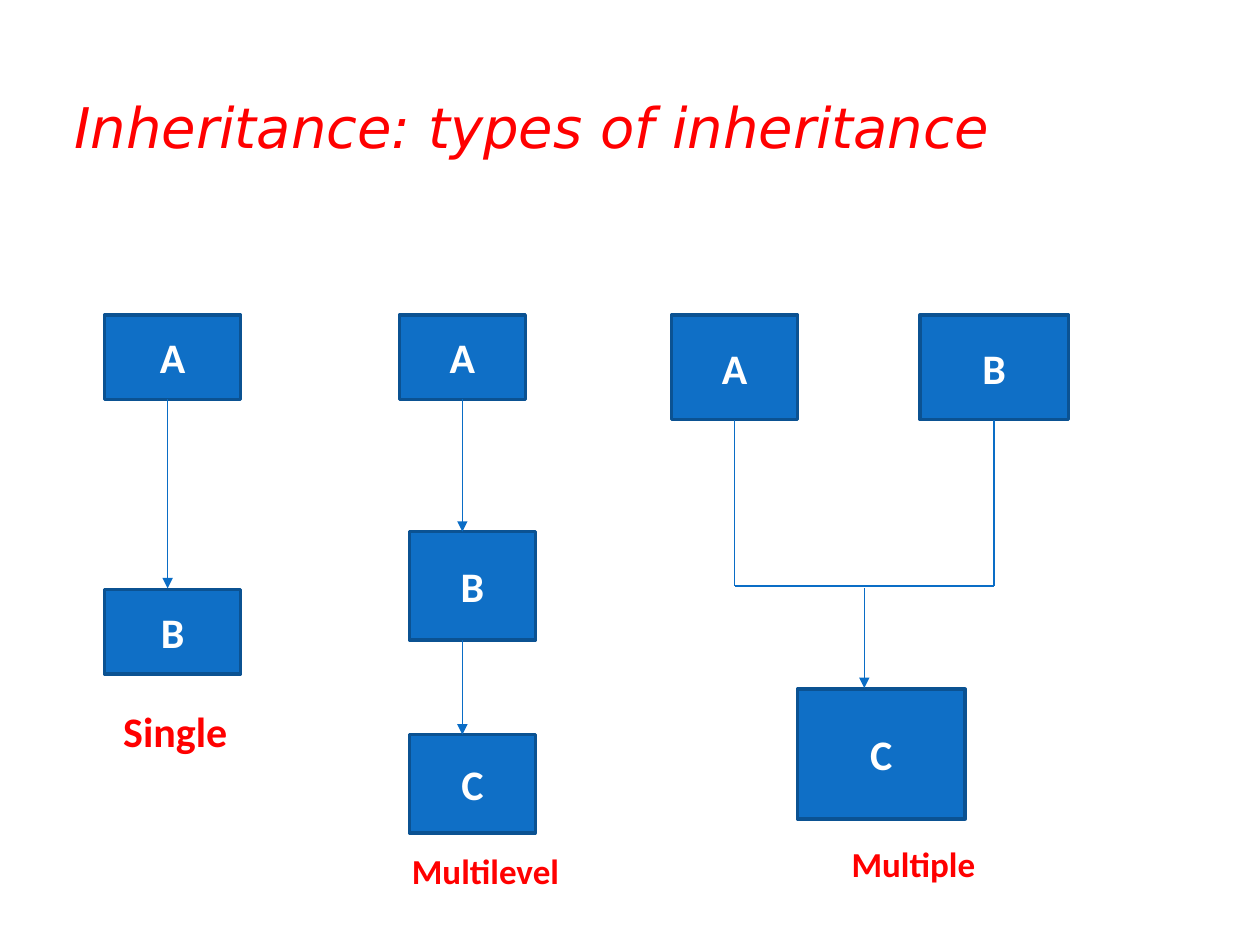
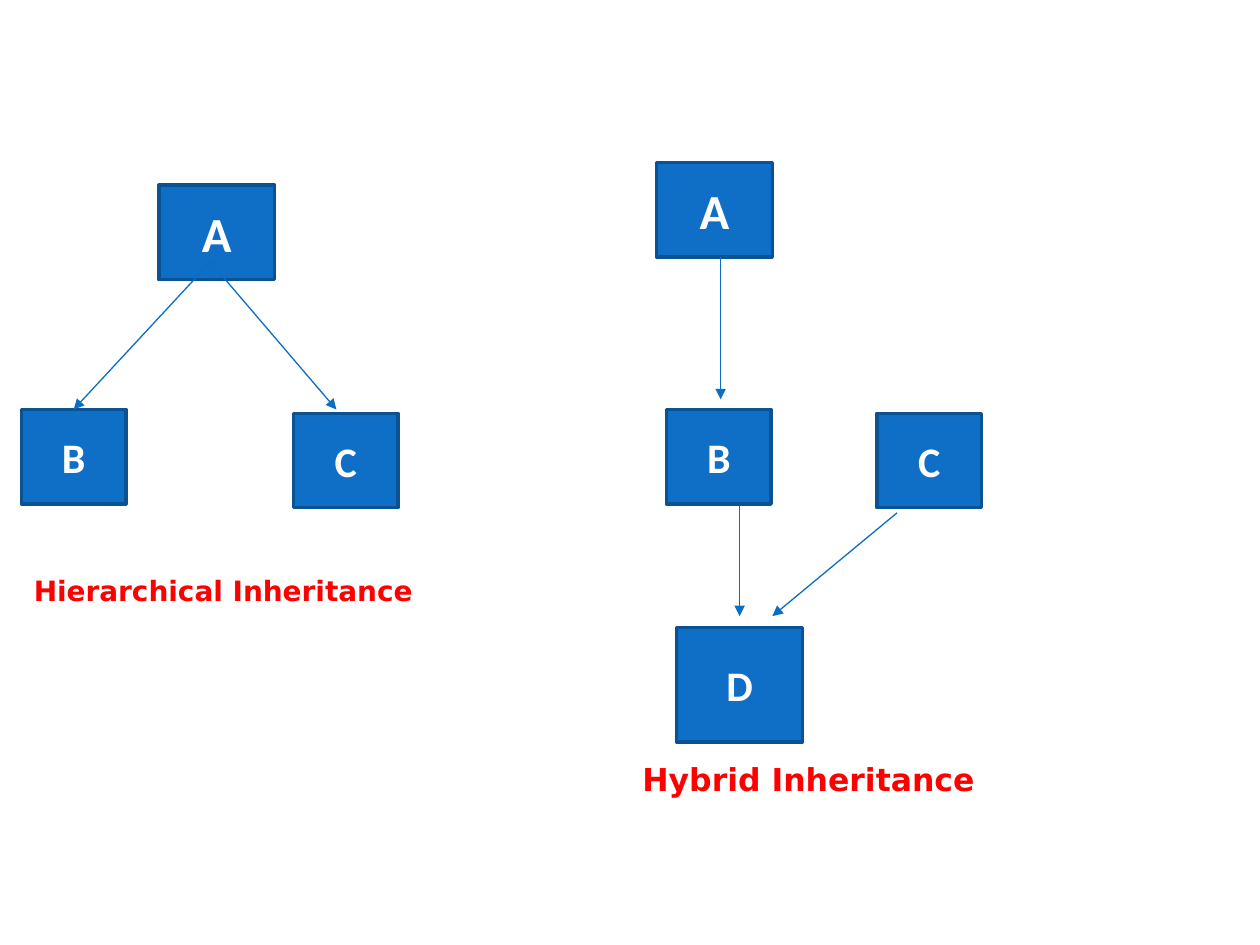
from dataclasses import dataclass

from lxml import etree
from pptx import Presentation
from pptx.dml.color import RGBColor
from pptx.enum.shapes import MSO_CONNECTOR, MSO_SHAPE
from pptx.enum.text import MSO_ANCHOR, MSO_AUTO_SIZE, PP_ALIGN
from pptx.oxml.ns import qn
from pptx.util import Inches, Pt

STRAIGHT = MSO_CONNECTOR.STRAIGHT
RECTANGLE = MSO_SHAPE.RECTANGLE
MIDDLE = MSO_ANCHOR.MIDDLE
GROW = MSO_AUTO_SIZE.SHAPE_TO_FIT_TEXT
LEFT, CENTER = PP_ALIGN.LEFT, PP_ALIGN.CENTER
TITLE_ONLY, BLANK = 5, 6
TOP_SIDE, BOTTOM_SIDE = 0, 2


@dataclass(frozen=True)
class Theme:
    accent: RGBColor = RGBColor(0xFF, 0x00, 0x00)
    box_fill: RGBColor = RGBColor(0x0F, 0x6F, 0xC6)
    box_line: RGBColor = RGBColor(0x0B, 0x52, 0x92)
    arrow: RGBColor = RGBColor(0x0A, 0x6D, 0xC6)
    box_text: RGBColor = RGBColor(0xFF, 0xFF, 0xFF)
    body_font: str = "Calibri"
    title_font: str = "DejaVu Sans"
    title_size: int = 32
    root_size: int = 28
    box_size: int = 24
    label_size: int = 20
    hybrid_size: int = 18
    hierarchical_size: int = 16
    box_line_width: float = 2
    arrow_width: float = 0.75


THEME = Theme()

# boxes: letter, (left, top, width, height), text size
# lines: start, end, has arrowhead
# label: text, (left, top, width, height), text size, font, wraps
""" """
SINGLE = {
    "boxes": [
        ("A", (0.83, 2.5, 1.08, 0.67), THEME.box_size),
        ("B", (0.83, 4.68, 1.08, 0.67), THEME.box_size),
    ],
    "lines": [((1.33, 3.17), (1.33, 4.67), True)],
    "label": ("Single", (0.88, 5.55, 1.04, 0.5), THEME.box_size, THEME.body_font, False),
}
MULTILEVEL = {
    "boxes": [
        ("A", (3.17, 2.5, 1, 0.67), THEME.box_size),
        ("B", (3.25, 4.22, 1, 0.86), THEME.box_size),
        ("C", (3.25, 5.83, 1, 0.78), THEME.box_size),
    ],
    "lines": [
        ((3.67, 3.17), (3.67, 4.22), True),
        ((3.67, 5.08), (3.67, 5.83), True),
    ],
    "label": ("Multilevel", (3.17, 6.69, 1.38, 0.44), THEME.label_size, THEME.body_font, False),
}
MULTIPLE = {
    "boxes": [
        ("A", (5.33, 2.5, 1, 0.83), THEME.box_size),
        ("B", (7.3, 2.5, 1.18, 0.83), THEME.box_size),
        ("C", (6.33, 5.47, 1.33, 1.03), THEME.box_size),
    ],
    "lines": [
        ((5.83, 3.33), (5.83, 4.65), False),
        ((7.89, 3.33), (7.89, 4.65), False),
        ((5.83, 4.65), (7.89, 4.65), False),
        ((6.86, 4.67), (6.86, 5.46), True),
    ],
    "label": ("Multiple", (6.66, 6.64, 1.19, 0.44), THEME.label_size, THEME.body_font, False),
}
HIERARCHICAL = {
    "boxes": [
        ("A", (1.26, 1.47, 0.92, 0.75), THEME.root_size),
        ("B", (0.17, 3.25, 0.83, 0.75), THEME.box_size),
        ("C", (2.33, 3.28, 0.83, 0.75), THEME.box_size),
    ],
    "lines": [
        ((1.67, 2.08), (0.58, 3.25), True),
        ((1.67, 2.08), (2.67, 3.25), True),
    ],
    "label": ("Hierarchical Inheritance", (0.17, 4.5, 3.5, 0.67),
              THEME.hierarchical_size, THEME.title_font, True),
}
HYBRID = {
    "boxes": [
        ("A", (5.21, 1.29, 0.92, 0.75), THEME.root_size),
        ("B", (5.29, 3.25, 0.83, 0.75), THEME.box_size),
        ("C", (6.96, 3.28, 0.83, 0.75), THEME.box_size),
        ("D", (5.37, 4.98, 1, 0.91), THEME.box_size),
    ],
    "lines": [
        ((5.72, 2.04), (5.72, 3.17), True),
        ((5.87, 4.01), (5.87, 4.89), True),
        ((7.12, 4.07), (6.13, 4.89), True),
    ],
    "label": ("Hybrid Inheritance", (5, 5.98, 3.82, 0.71),
              THEME.hybrid_size, THEME.title_font, True),
}
SLIDES = [
    ("Inheritance: types of inheritance", [SINGLE, MULTILEVEL, MULTIPLE]),
    (None, [HIERARCHICAL, HYBRID]),
]
TITLE_PLACE = (0.49, 0.5, 9, 1)
JOIN_TOLERANCE = Inches(0.02)


def write(frame, text, size, font_name, color, align=LEFT, bold=True, italic=False):
    frame.text = text
    para = frame.paragraphs[0]
    para.alignment = align
    font = para.font
    font.name, font.size = font_name, Pt(size)
    font.bold, font.italic = bold, italic
    font.color.rgb = color


def add_title(slide, text):
    title = slide.shapes.title
    title.left, title.top, title.width, title.height = map(Inches, TITLE_PLACE)
    title.text_frame.vertical_anchor = MIDDLE
    write(title.text_frame, text, THEME.title_size, THEME.title_font, THEME.accent,
          bold=False, italic=True)


def add_box(slide, letter, place, size):
    box = slide.shapes.add_shape(RECTANGLE, *map(Inches, place))
    box.shadow.inherit = False
    box.fill.solid()
    box.fill.fore_color.rgb = THEME.box_fill
    box.line.color.rgb = THEME.box_line
    box.line.width = Pt(THEME.box_line_width)
    box.text_frame.vertical_anchor = MIDDLE
    write(box.text_frame, letter, size, THEME.body_font, THEME.box_text, CENTER)
    return box


def join(connect, point, boxes):
    x, y = map(Inches, point)
    for box in boxes:
        center = box.left + box.width // 2
        for side, edge in ((TOP_SIDE, box.top), (BOTTOM_SIDE, box.top + box.height)):
            if max(abs(x - center), abs(y - edge)) < JOIN_TOLERANCE:
                connect(box, side)


def add_line(slide, start, end, has_arrowhead, boxes):
    connector = slide.shapes.add_connector(STRAIGHT, *map(Inches, start + end))
    connector.line.color.rgb = THEME.arrow
    connector.line.width = Pt(THEME.arrow_width)
    join(connector.begin_connect, start, boxes)
    join(connector.end_connect, end, boxes)
    if has_arrowhead:
        outline = connector.line._get_or_add_ln()
        etree.SubElement(outline, qn("a:tailEnd"), type="triangle")
    etree.SubElement(connector._element.spPr, qn("a:effectLst"))


def add_label(slide, text, place, size, font_name, wraps):
    label = slide.shapes.add_textbox(*map(Inches, place))
    label.text_frame.word_wrap = wraps
    label.text_frame.auto_size = GROW
    write(label.text_frame, text, size, font_name, THEME.accent)


def add_diagram(slide, diagram):
    boxes = [add_box(slide, *box) for box in diagram["boxes"]]
    for line in diagram["lines"]:
        add_line(slide, *line, boxes)
    add_label(slide, *diagram["label"])


def main():
    deck = Presentation()
    deck.slide_width, deck.slide_height = Inches(10), Inches(7.5)
    for title, diagrams in SLIDES:
        slide = deck.slides.add_slide(deck.slide_layouts[TITLE_ONLY if title else BLANK])
        if title:
            add_title(slide, title)
        for diagram in diagrams:
            add_diagram(slide, diagram)
    deck.save("out.pptx")


if __name__ == "__main__":
    main()
